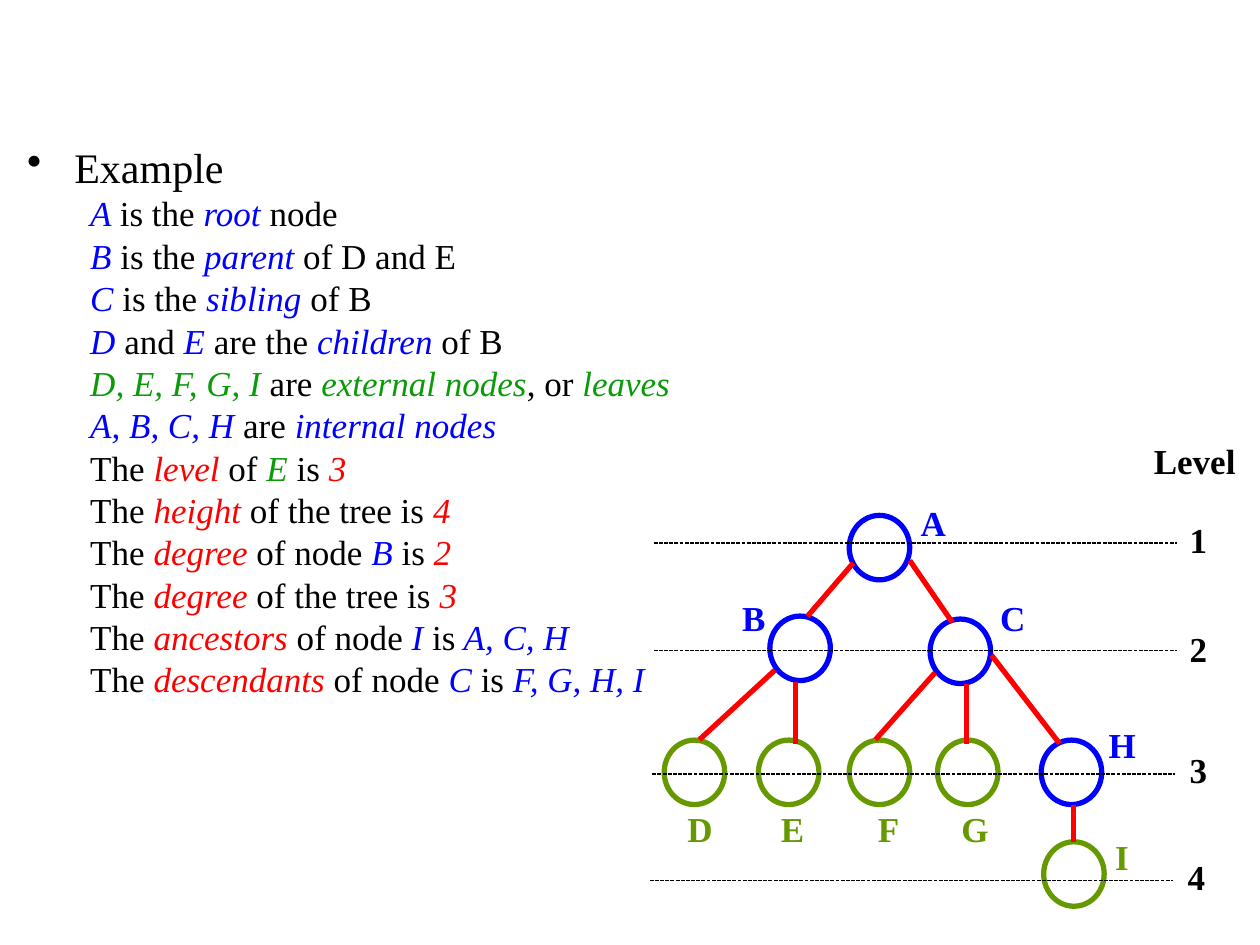
from dataclasses import dataclass

from lxml.etree import SubElement as Sub
from pptx import Presentation
from pptx.dml.color import RGBColor as Rgb
from pptx.enum.dml import MSO_LINE as Dash
from pptx.enum.shapes import MSO_CONNECTOR as Link, MSO_SHAPE as Shape
from pptx.enum.text import MSO_AUTO_SIZE as Fit
from pptx.oxml.ns import qn
from pptx.util import Cm, Pt


@dataclass(frozen=True)
class Theme:
    font: str = "Times New Roman"
    ink: str = "000000"
    blue: str = "0000FF"
    red: str = "FF0000"
    green: str = "0A9A0A"
    leaf: str = "669900"
    head: int = 24
    body: int = 20
    bold: float = 3
    thin: float = 0.75


class Deck:
    def __init__(self, theme):
        self.theme = theme
        self.prs = Presentation()
        self.prs.slide_width, self.prs.slide_height = Cm(25.4), Cm(19.05)
        self.slide = self.prs.slides.add_slide(self.prs.slide_layouts[6])

    def color(self, name):
        return Rgb.from_string(getattr(self.theme, name))

    def run(self, para, text, color="ink", size=None, bold=False, italic=False):
        font = (run := para.add_run()).font
        run.text = text
        font.name, font.size = self.theme.font, Pt(size or self.theme.body)
        font.bold, font.italic = bold, italic
        font.color.rgb = self.color(color)

    def ring(self, x, y, color):
        oval = self.slide.shapes.add_shape(
            Shape.OVAL, Cm(x), Cm(y), Cm(1.22), Cm(1.3))
        oval.shadow.inherit = False
        oval.fill.background()
        oval.line.color.rgb = self.color(color)
        oval.line.width = Pt(self.theme.bold)

    def line(self, x1, y1, x2, y2, color, width, dash=Dash.SOLID):
        line = self.slide.shapes.add_connector(
            Link.STRAIGHT, Cm(x1), Cm(y1), Cm(x2), Cm(y2))
        line.line.color.rgb = self.color(color)
        line.line.width = Pt(width)
        line.line.dash_style = dash
        Sub(line._element.spPr, qn("a:effectLst"))

    def label(self, text, x, y, wide, color="ink"):
        box = self.slide.shapes.add_textbox(Cm(x), Cm(y), Cm(wide), Cm(1.12))
        frame = box.text_frame
        frame.word_wrap = False
        frame.auto_size = Fit.SHAPE_TO_FIT_TEXT
        self.run(frame.paragraphs[0], text, color, bold=True)

    def para(self, para, left, first, gap):
        para.line_spacing, para.space_before = 0.8, Pt(gap)
        props = para._p.get_or_add_pPr()
        props.set("marL", str(Cm(left)))
        props.set("indent", str(Cm(first)))
        return props

    def notes(self, title, rows, x, y, wide, high):
        frame = self.slide.shapes.add_textbox(
            Cm(x), Cm(y), Cm(wide), Cm(high)).text_frame
        frame.word_wrap = True
        top = frame.paragraphs[0]
        props = self.para(top, 0.95, -0.95, 6)
        Sub(props, qn("a:buChar")).set("char", "•")
        self.run(top, title, size=self.theme.head)
        for row in rows:
            para = frame.add_paragraph()
            Sub(self.para(para, 2.06, -0.79, 5), qn("a:buNone"))
            for text, color in row:
                self.run(para, text, color, italic=color != "ink")

    def save(self):
        self.prs.save("out.pptx")


# Name, ring x and y, label x, y and width, color
NODES = [
    ("A", 17.12, 10.39, 18.31, 9.98, 1.02, "blue"),
    ("B", 15.52, 12.42, 14.71, 11.91, 0.97, "blue"),
    ("C", 18.75, 12.48, 19.91, 11.91, 1.02, "blue"),
    ("D", 13.39, 14.92, 13.61, 16.15, 1.02, "leaf"),
    ("E", 15.29, 14.92, 15.49, 16.15, 0.97, "leaf"),
    ("F", 17.12, 14.92, 17.45, 16.15, 0.94, "leaf"),
    ("G", 18.9, 14.92, 19.13, 16.15, 1.04, "leaf"),
    ("H", 20.99, 14.92, 22.1, 14.46, 1.04, "blue"),
    ("I", 21.04, 16.97, 22.23, 16.71, 0.79, "leaf"),
]

EDGES = [
    (17.2, 11.35, 16.28, 12.42), (18.34, 11.3, 19.2, 12.55),
    (15.62, 13.51, 14.1, 14.91), (16.03, 13.74, 16.03, 14.99),
    (18.85, 13.56, 17.65, 14.91), (19.48, 13.79, 19.48, 14.99),
    (19.99, 13.21, 21.36, 14.99), (21.64, 16.23, 21.64, 16.97),
]

# Line x and y, number x and y
LEVELS = [
    (13.18, 10.95, 23.73, 10.32), (13.18, 13.11, 23.73, 12.52),
    (13.15, 15.6, 23.73, 14.96), (13.1, 17.75, 23.69, 17.12),
]

FACTS = [
    [("A ", "blue"), ("is the ", "ink"), ("root ", "blue"), ("node", "ink")],
    [("B ", "blue"), ("is the ", "ink"), ("parent ", "blue"),
     ("of D and E", "ink")],
    [("C ", "blue"), ("is the ", "ink"), ("sibling ", "blue"), ("of B", "ink")],
    [("D ", "blue"), ("and ", "ink"), ("E ", "blue"), ("are the ", "ink"),
     ("children ", "blue"), ("of B", "ink")],
    [("D, E, F, G, I", "green"), (" are ", "ink"), ("external nodes", "green"),
     (", or ", "ink"), ("leaves", "green")],
    [("A, B, C, H ", "blue"), ("are ", "ink"), ("internal nodes", "blue")],
    [("The ", "ink"), ("level", "red"), (" of ", "ink"), ("E ", "green"),
     ("is ", "ink"), ("3", "red")],
    [("The ", "ink"), ("height ", "red"), ("of the tree is ", "ink"),
     ("4", "red")],
    [("The ", "ink"), ("degree ", "red"), ("of node ", "ink"), ("B ", "blue"),
     ("is ", "ink"), ("2", "red")],
    [("The ", "ink"), ("degree ", "red"), ("of the tree is ", "ink"),
     ("3", "red")],
    [("The ", "ink"), ("ancestors ", "red"), ("of node ", "ink"),
     ("I ", "blue"), ("is", "ink"), (" A, C, H", "blue")],
    [("The ", "ink"), ("descendants ", "red"), ("of node ", "ink"),
     ("C ", "blue"), ("is ", "ink"), ("F, G, H, I", "blue")],
]


def main():
    theme = Theme()
    deck = Deck(theme)

    # Tree
    for _, x, y, *_, color in NODES:
        deck.ring(x, y, color)
    for edge in EDGES:
        deck.line(*edge, "red", theme.bold)
    for name, _, _, *place, color in NODES:
        deck.label(name, *place, color)

    # Levels
    deck.label("Level", 23.01, 8.74, 2.16)
    for num, (x, y, left, top) in enumerate(LEVELS, 1):
        deck.line(x, y, x + 10.54, y, "ink", theme.thin, Dash.SQUARE_DOT)
        deck.label(str(num), left, top, 0.86)

    # Facts about the tree
    deck.notes("Example", FACTS, 0.3, 2.92, 22.86, 11.4)
    deck.save()


if __name__ == "__main__":
    main()
